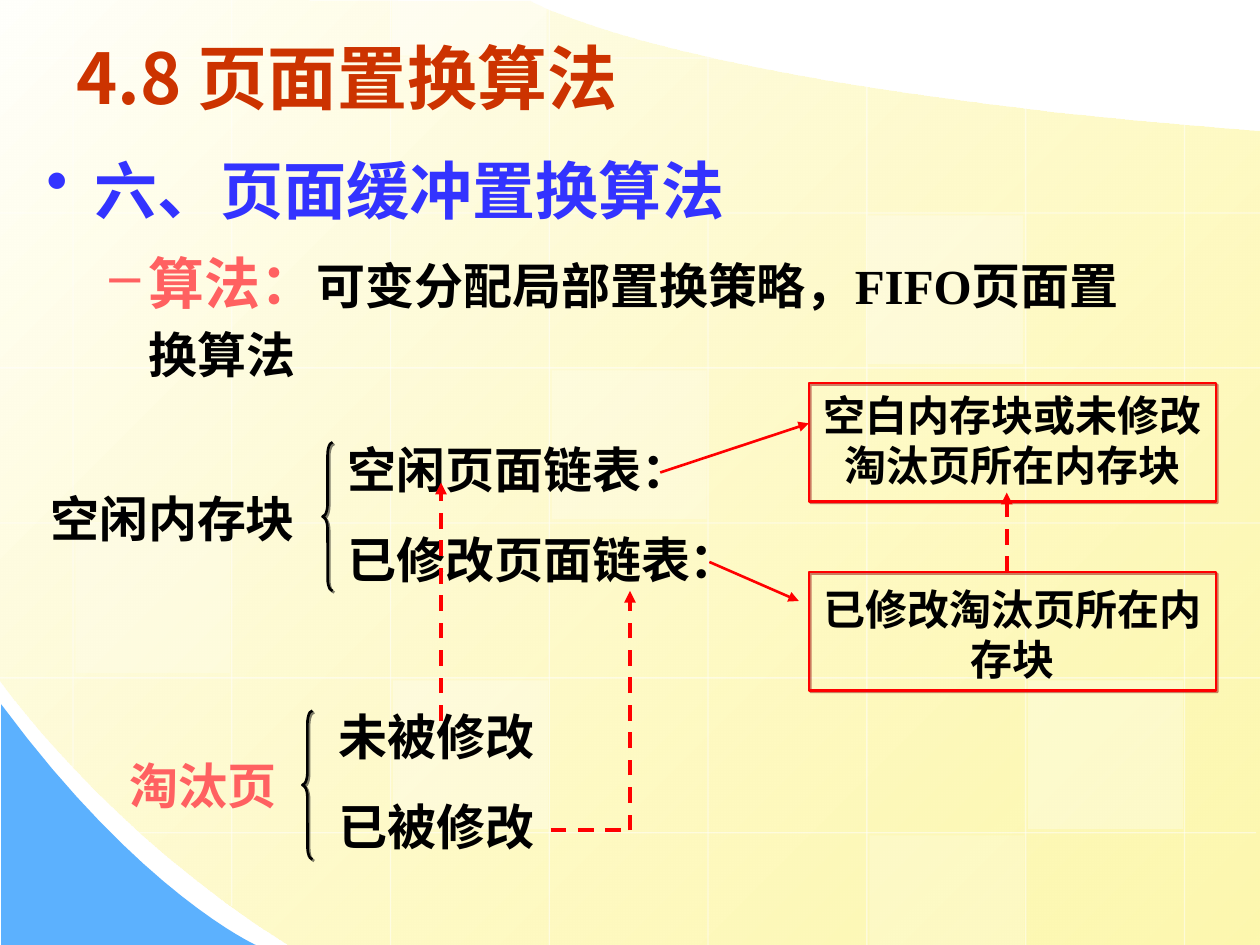
from lxml import etree
from pptx import Presentation
from pptx.dml.color import RGBColor
from pptx.enum.dml import MSO_LINE
from pptx.enum.shapes import MSO_CONNECTOR, MSO_SHAPE
from pptx.enum.text import MSO_ANCHOR, PP_ALIGN
from pptx.oxml.ns import qn
from pptx.util import Inches, Pt

RECT, BRACE = MSO_SHAPE.RECTANGLE, MSO_SHAPE.LEFT_BRACE
STRAIGHT, DASH = MSO_CONNECTOR.STRAIGHT, MSO_LINE.DASH
TOP, MIDDLE = MSO_ANCHOR.TOP, MSO_ANCHOR.MIDDLE
LEFT, CENTER = PP_ALIGN.LEFT, PP_ALIGN.CENTER

THEME = {
    "white": "FFFFFF", "pale": "FFFFFB", "yellow": "FDF58D", "sky": "5CB1FE",
    "title": "CC3300", "head": "3333FF", "pink": "FF6161", "ink": "000000",
    "red": "FF0000", "dark": "990000", "shade": "808040",
    "huge": 40, "large": 36, "big": 32, "mid": 28, "small": 24,
    "sans": "Arial", "serif": "Times New Roman", "cjk": "Noto Sans CJK SC",
}

PANEL = [(10, 1.04), (10, 4.27, 10, 7.5, 10, 7.5), (10, 7.5, 6.15, 7.5, 2.3, 7.5),
         (0.86, 6.61, -0.01, 5.39, 0, 5.39), (-0.01, -0.01), (4.21, 0.01),
         (4.21, 0.01, 5.37, 0.69, 10, 1.04)]
CORNER = [(0.01, 5.59), (0.01, 6.55, 0.01, 7.5, 0.01, 7.5), (2.03, 7.5),
          (2.03, 7.5, 1.12, 7.09, 0.01, 5.59)]
COLS = [(0, 6.09), (0, 7.19), (0, 7.5), (0, 7.52), (0.43, 7.52),
        (0.68, 7.52), (0.85, 7.52), (0.98, 7.52)]
ROWS = [(5.68, 0), (10.01, 0), (10.01, 0), (10.01, 0), (10.01, 0), (9.97, 1.11)]
TILES = [(4.38, 2.94, 1.18, 25), (8.16, 5.4, 1.18, 30), (0.6, 4.16, 1.18, 20),
         (6.9, 6.63, 0.87, 20), (3.11, 0, 0.44, 40), (3.12, 5.4, 1.18, 30),
         (6.89, 1.71, 1.18, 30)]

TITLE = "4.8 页面置换算法"
HEAD = "六、页面缓冲置换算法"
BODY = [("算法：", "big", "pink"), ("可变分配局部置换策略，FIFO页面置换算法", "mid", "ink")]
LISTS = [((2.16, 3.44, 3.94, 1.28), ["空闲页面链表：", "已修改页面链表："]),
         ((2.09, 5.56, 2.68, 1.28), ["未被修改", "已被修改"])]
BLOCKS = [(3.04, 3.04, "空白内存块或未修改淘汰页所在内存块"),
          (4.58, 4.54, "已修改淘汰页所在内存块")]
BRACES = [(2.56, 3.51), (2.4, 5.64)]
ARROWS = [((5.24, 3.75, 6.42, 3.36), 1.5, False, True),
          ((5.63, 4.46, 6.34, 4.77), 1.5, False, True),
          ((3.5, 5.72, 3.5, 3.83), 2.25, True, True),
          ((4.37, 6.59, 5, 6.59), 2.25, True, False),
          ((5, 6.59, 5, 4.69), 2.25, True, True),
          ((7.99, 4.54, 7.99, 3.91), 2.25, True, True)]


def tint(name):
    return RGBColor.from_string(THEME[name])


def node(base, tag, **attrs):
    return etree.SubElement(base, qn(tag), {key: str(val) for key, val in attrs.items()})


def fade(base, share):
    for color in base.iter(qn("a:srgbClr")):
        node(color, "a:alpha", val=share * 1000)


def shadow(color, share):
    list_ = etree.Element(qn("a:effectLst"))
    outer = node(list_, "a:outerShdw", blurRad=0, dist=Pt(1.4), dir=2700000, algn="tl", rotWithShape=0)
    node(outer, "a:srgbClr", val=THEME[color])
    fade(outer, share)
    return list_


def text(slide, at, parts, anchor=TOP):
    """Add a text box; each part is (runs, paragraph format)."""
    box = slide.shapes.add_textbox(*map(Inches, at))
    frame = box.text_frame
    frame.word_wrap, frame.vertical_anchor = True, anchor
    for place, (runs, form) in enumerate(parts):
        para = frame.add_paragraph() if place else frame.paragraphs[0]
        write(para, runs, first=not place, **form)


def write(para, runs, first=True, font="sans", align=LEFT, level=0, left=0, hang=0,
          before=0, lead=None, mark=None, ink="ink", glow=False, ea=None):
    """Fill a paragraph with (words, size, colour) runs in the given format."""
    para.alignment, para.level = align, level
    para.space_before = Pt(0 if first else before)
    if lead:
        para.line_spacing = lead
    props = para._p.get_or_add_pPr()
    props.set("marL", str(Inches(left)))
    props.set("indent", str(Inches(hang)))
    if mark:
        node(node(props, "a:buClr"), "a:srgbClr", val=THEME[ink])
        node(props, "a:buChar", char=mark)
    else:
        node(props, "a:buNone")
    for words, size, color in runs:
        run = para.add_run()
        run.text = words
        run.font.size, run.font.bold = Pt(THEME[size]), True
        run.font.color.rgb = tint(color)
        if glow:
            run._r.get_or_add_rPr().append(shadow("shade", 100))
        run.font.name = THEME[font]
        if ea:
            node(run._r.get_or_add_rPr(), "a:ea", typeface=THEME[ea])


def form(slide, kind, at, line=None, width=1, shade=None, share=None):
    shape = slide.shapes.add_shape(kind, *map(Inches, at))
    shape.shadow.inherit = False
    if share:
        shape.fill.solid()
        shape.fill.fore_color.rgb = tint("white")
        fade(shape._element.spPr, share)
    else:
        shape.fill.background()
    if line:
        shape.line.color.rgb, shape.line.width = tint(line), Pt(width)
    else:
        shape.line.fill.background()
    if shade:
        props = shape._element.spPr
        props.replace(props.find(qn("a:effectLst")), shadow(shade, 50))
    return shape


def curve(slide, path):
    spots = [path[0]]
    for step in path[1:]:
        if len(step) == 2:
            spots.append(step)
            continue
        (x0, y0), (x1, y1, x2, y2, x3, y3) = spots[-1], step
        for t in (i / 16 for i in range(1, 17)):
            a, b, c, d = (1 - t) ** 3, 3 * t * (1 - t) ** 2, 3 * t * t * (1 - t), t ** 3
            spots.append((a * x0 + b * x1 + c * x2 + d * x3, a * y0 + b * y1 + c * y2 + d * y3))
    spots = [(Inches(x), Inches(y)) for x, y in spots]
    build = slide.shapes.build_freeform(*spots[0], scale=1.0)
    build.add_line_segments(spots[1:], close=True)
    shape = build.convert_to_shape()
    shape.shadow.inherit = False
    shape.line.fill.background()
    return shape


def rule(host, ends, color, width, dash=False, head=False, share=None):
    link = host.shapes.add_connector(STRAIGHT, *map(Inches, ends))
    link.line.color.rgb, link.line.width = tint(color), Pt(width)
    if dash:
        link.line.dash_style = DASH
    if share:
        fade(link._element.spPr, share)
    if head:
        node(link.line._get_or_add_ln(), "a:tailEnd", type="triangle")
    node(link._element.spPr, "a:effectLst")


def scene(slide):
    panel = curve(slide, PANEL)
    panel.fill.gradient()
    panel.fill.gradient_angle = 315
    for stop, name, place in zip(panel.fill.gradient_stops, ("pale", "yellow"), (0, 1)):
        stop.color.rgb, stop.position = tint(name), place
    fade(panel._element.spPr.findall(".//" + qn("a:gs"))[1], 70)
    corner = curve(slide, CORNER)
    corner.fill.solid()
    corner.fill.fore_color.rgb = tint("sky")
    grid = slide.shapes.add_group_shape()
    for i, (top, foot) in enumerate(COLS):
        x = 0.58 + 1.26 * i
        rule(grid, (x, top, x, foot), "white", 0.75, share=50)
    for i, (start, end) in enumerate(ROWS):
        y = 0.46 + 1.23 * i
        rule(grid, (start, y, end, y), "white", 0.75, share=50)
    for x, y, tall, share in TILES:
        form(slide, RECT, (x, y, 1.23, tall), share=share)


def main():
    deck = Presentation()
    deck.slide_width, deck.slide_height = Inches(10), Inches(7.5)
    slide = deck.slides.add_slide(deck.slide_layouts[6])
    scene(slide)
    text(slide, (0.51, 0.21, 9, 0.79),
         [([(TITLE, "huge", "title")], dict(font="cjk", ea="cjk"))], MIDDLE)
    sub = dict(font="serif", level=1, left=0.81, hang=-0.31, lead=1.15, before=7)
    text(slide, (0.27, 1.15, 9, 2.2), [
        ([(HEAD, "large", "head")], dict(font="serif", left=0.38, hang=-0.38, mark="•", ink="head")),
        (BODY, dict(sub, mark="–", ink="pink"))])
    for at, lines in LISTS:
        text(slide, at, [([(line, "mid", "ink")], dict(level=1, left=0.5, before=17.5, glow=True))
                         for line in lines])
    text(slide, (0.27, 3.83, 2.2, 0.57),
         [([("空闲内存块", "mid", "ink")], dict(align=CENTER, glow=True))])
    text(slide, (0.43, 5.88, 2.13, 0.94), [([("淘汰页", "mid", "pink")], sub)])
    for x, y in BRACES:
        brace = form(slide, BRACE, (x, y, 0.08, 1.18), "ink", 1.5, "ink")
        brace.adjustments[0] = 1.25
    for top, edge, words in BLOCKS:
        text(slide, (6.34, top, 3.39, 0.9),
             [([(words, "small", "ink")], dict(align=CENTER, glow=True))])
        form(slide, RECT, (6.42, edge, 3.23, 0.94), "red", 1.25, "dark")
    for ends, width, dash, head in ARROWS:
        rule(slide, ends, "red", width, dash, head)
    deck.save("out.pptx")


if __name__ == "__main__":
    main()
